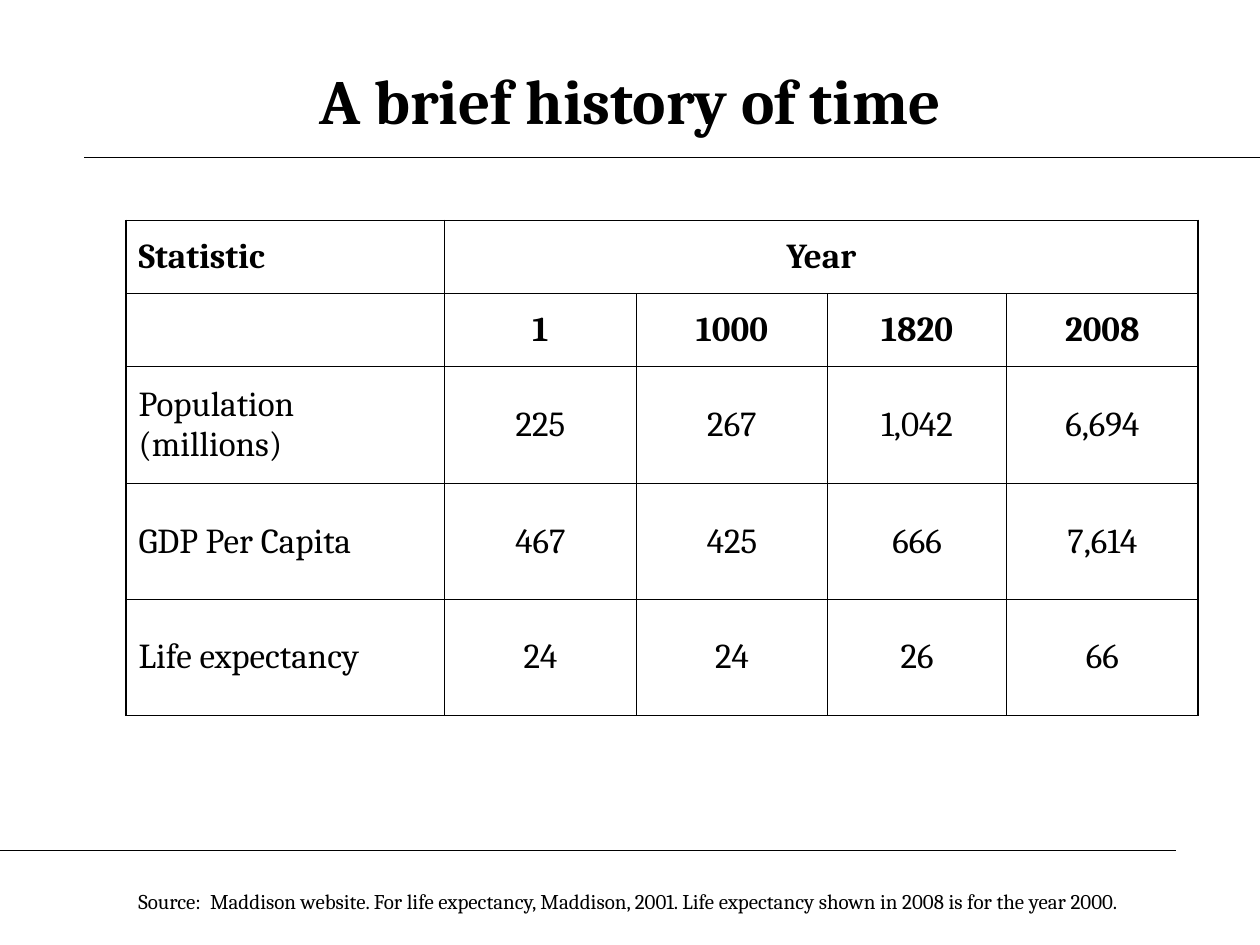
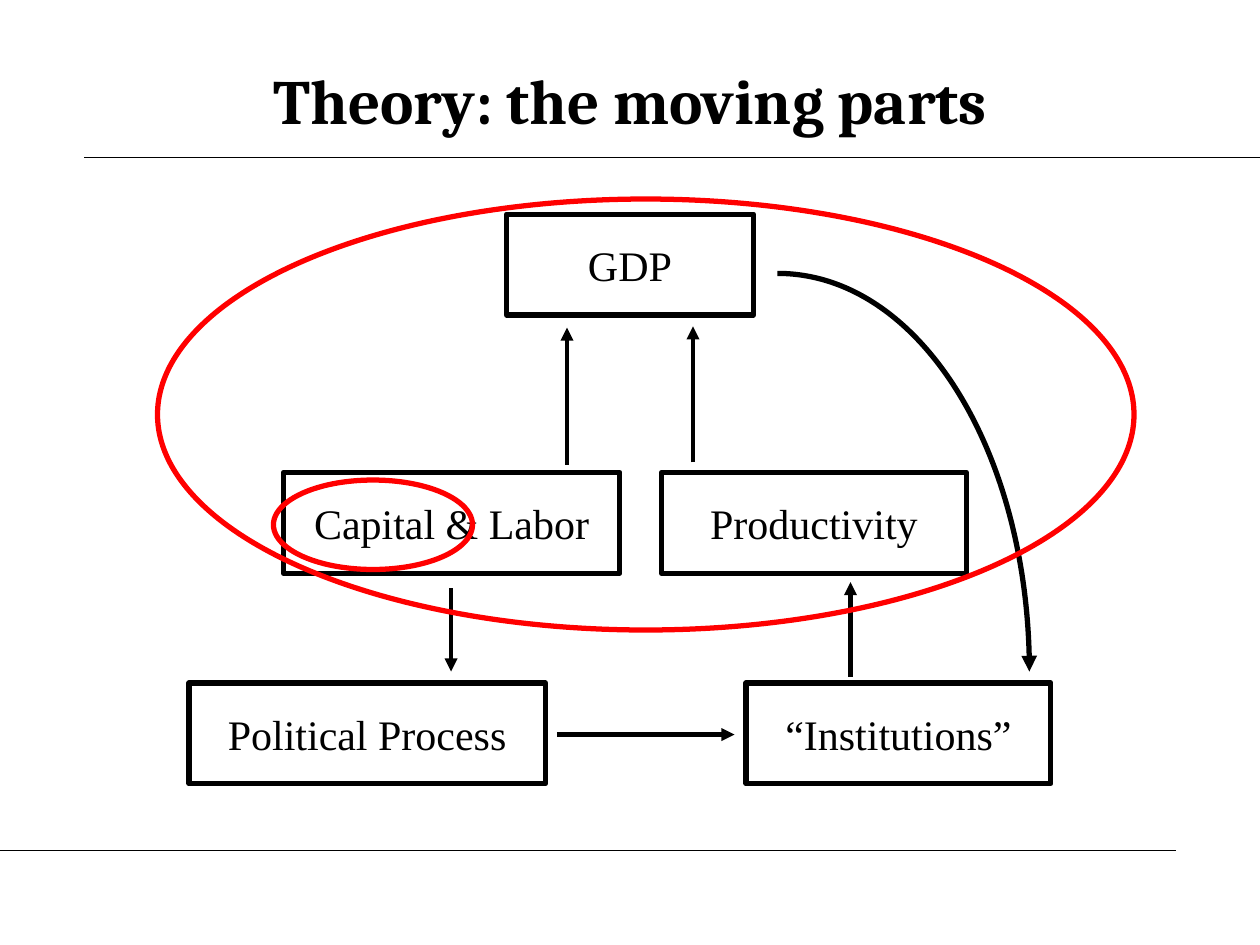
from dataclasses import dataclass

from lxml import etree
from pptx import Presentation
from pptx.dml.color import RGBColor
from pptx.enum.shapes import MSO_CONNECTOR as Conn, MSO_SHAPE as Shape
from pptx.enum.text import MSO_ANCHOR as Anchor, PP_ALIGN as Align
from pptx.oxml.ns import qn
from pptx.util import Inches, Pt


@dataclass(frozen=True)
class Theme:
    ink: RGBColor = RGBColor(0, 0, 0)
    accent: RGBColor = RGBColor(255, 0, 0)
    serif: str = "Cambria"
    box_font: str = "Times New Roman"
    title_size: float = 36
    box_size: float = 24
    table_size: float = 20
    source_size: float = 12
    rule_width: float = 0.75
    arrow_width: float = 2.5
    outline_width: float = 3
    grid_width: float = 0.45
    frame_width: float = 1.08


THEME = Theme()

COLUMN_WIDTHS = [2.53, 1.52, 1.52, 1.42, 1.52]
ROW_HEIGHTS = [0.58, 0.58, 0.93, 0.92, 0.92]
HEADER_ROWS = 2
STATISTICS = [
    ["Statistic", "Year", "", "", ""],
    ["", "1", "1000", "1820", "2008"],
    ["Population (millions)", "225", "267", "1,042", "6,694"],
    ["GDP Per Capita", "467", "425", "666", "7,614"],
    ["Life expectancy", "24", "24", "26", "66"],
]

BOX_HEIGHT = 0.8
BOXES = [  # label, left, top, width
    ("Capital & Labor", 2.25, 3.75, 2.67),
    ("Productivity", 5.25, 3.75, 2.42),
    ("GDP", 4.02, 1.7, 1.96),
    ("“Institutions”", 5.92, 5.42, 2.42),
    ("Political Process", 1.5, 5.42, 2.83),
]
ARROWS = [  # start, end
    ((4.5, 3.69), (4.5, 2.6)),
    ((5.5, 3.67), (5.5, 2.59)),
    ((6.75, 5.37), (6.75, 4.62)),
    ((4.42, 5.83), (5.83, 5.83)),
    ((3.58, 4.67), (3.58, 5.33)),
]
GDP_TO_INSTITUTIONS = [(6.17, 2.17), (7.27, 2.17), (8.17, 3.58), (8.17, 5.33)]
HIGHLIGHTS = [(1.25, 1.58, 7.75, 3.42), (2.17, 3.81, 1.58, 0.71)]


def inches(values):
    return [Inches(v) for v in values]


def write(tf, text, size, font=THEME.serif, bold=False, align=Align.LEFT):
    tf.word_wrap = True
    p = tf.paragraphs[0]
    p.text = text
    p.alignment = align
    p.font.name = font
    p.font.size = Pt(size)
    p.font.bold = bold
    p.font.color.rgb = THEME.ink


def set_line(line, color, width):
    line.color.rgb = color
    line.width = Pt(width)


def add_head(line):
    etree.SubElement(line._get_or_add_ln(), qn("a:tailEnd"), type="triangle")


def add_text(slide, box, text, size, anchor=Anchor.TOP, **style):
    tf = slide.shapes.add_textbox(*inches(box)).text_frame
    tf.vertical_anchor = anchor
    write(tf, text, size, **style)


def add_line(slide, start, end, width):
    s = slide.shapes.add_connector(Conn.STRAIGHT, *inches(start + end))
    set_line(s.line, THEME.ink, width)
    etree.SubElement(s._element.spPr, qn("a:effectLst"))
    return s


def add_arrow(slide, start, end):
    add_head(add_line(slide, start, end, THEME.arrow_width).line)


def add_outline(slide, kind, box, color):
    s = slide.shapes.add_shape(kind, *inches(box))
    s.shadow.inherit = False
    s.fill.background()
    set_line(s.line, color, THEME.outline_width)
    return s


def add_box(slide, label, left, top, width):
    s = add_outline(slide, Shape.RECTANGLE, (left, top, width, BOX_HEIGHT), THEME.ink)
    s.text_frame.vertical_anchor = Anchor.MIDDLE
    write(s.text_frame, label, THEME.box_size, THEME.box_font, align=Align.CENTER)


def add_curved_arrow(slide, points):
    """Draw one Bezier arrow from a start, two control points and an end."""
    start, *rest = [tuple(inches(point)) for point in points]
    builder = slide.shapes.build_freeform(*start)
    builder.add_line_segments(rest, close=False)
    s = builder.convert_to_shape()
    s.shadow.inherit = False
    s.fill.background()
    set_line(s.line, THEME.ink, THEME.outline_width)
    add_head(s.line)
    segments = list(s._element.iter(qn("a:lnTo")))
    curve = etree.SubElement(segments[0].getparent(), qn("a:cubicBezTo"))
    for segment in segments:
        curve.append(segment[0])
        segment.getparent().remove(segment)


def set_borders(cell, outer_sides):
    tcPr = cell._tc.get_or_add_tcPr()
    for side in "LRTB":
        width = THEME.frame_width if side in outer_sides else THEME.grid_width
        ln = etree.SubElement(tcPr, qn(f"a:ln{side}"), w=str(Pt(width)))
        fill = etree.SubElement(ln, qn("a:solidFill"))
        etree.SubElement(fill, qn("a:srgbClr"), val=str(THEME.ink))


def add_statistics_table(slide, left, top):
    size = sum(COLUMN_WIDTHS), sum(ROW_HEIGHTS)
    last_row, last_col = len(ROW_HEIGHTS) - 1, len(COLUMN_WIDTHS) - 1
    table = slide.shapes.add_table(
        last_row + 1, last_col + 1, *inches((left, top) + size)).table
    table.first_row = table.horz_banding = False
    for column, width in zip(table.columns, COLUMN_WIDTHS):
        column.width = Inches(width)
    for row, height in zip(table.rows, ROW_HEIGHTS):
        row.height = Inches(height)
    table.cell(0, 1).merge(table.cell(0, last_col))

    for r, values in enumerate(STATISTICS):
        for c, value in enumerate(values):
            cell = table.cell(r, c)
            if cell.is_spanned:
                continue
            right = c + cell.span_width - 1 if cell.is_merge_origin else c
            edges = {"L": c == 0, "R": right == last_col,
                     "T": r == 0, "B": r == last_row}
            set_borders(cell, [side for side, outer in edges.items() if outer])
            cell.fill.background()
            cell.vertical_anchor = Anchor.MIDDLE
            write(cell.text_frame, value, THEME.table_size, bold=r < HEADER_ROWS,
                  align=Align.CENTER if c else Align.LEFT)


def add_slide(prs, title):
    """Add a blank slide with the shared rules and title."""
    slide = prs.slides.add_slide(prs.slide_layouts[6])
    add_line(slide, (0.67, 1.25), (10, 1.25), THEME.rule_width)
    add_line(slide, (0, 6.75), (9.33, 6.75), THEME.rule_width)
    add_text(slide, (0.5, 0.33, 9, 0.92), title, THEME.title_size,
             Anchor.MIDDLE, bold=True, align=Align.CENTER)
    return slide


def add_history_slide(prs):
    slide = add_slide(prs, "A brief history of time")
    add_statistics_table(slide, 1, 1.75)
    add_text(slide, (1, 7, 8.25, 0.5),
             "Source:  Maddison website. For life expectancy, Maddison, 2001. "
             "Life expectancy shown in 2008 is for the year 2000.",
             THEME.source_size)


def add_theory_slide(prs):
    slide = add_slide(prs, "Theory: the moving parts")
    for box in BOXES:
        add_box(slide, *box)
    for start, end in ARROWS:
        add_arrow(slide, start, end)
    add_curved_arrow(slide, GDP_TO_INSTITUTIONS)
    for box in HIGHLIGHTS:
        add_outline(slide, Shape.OVAL, box, THEME.accent)


def main():
    prs = Presentation()
    prs.slide_width, prs.slide_height = Inches(10), Inches(7.5)
    add_history_slide(prs)
    add_theory_slide(prs)
    prs.save("out.pptx")


if __name__ == "__main__":
    main()
